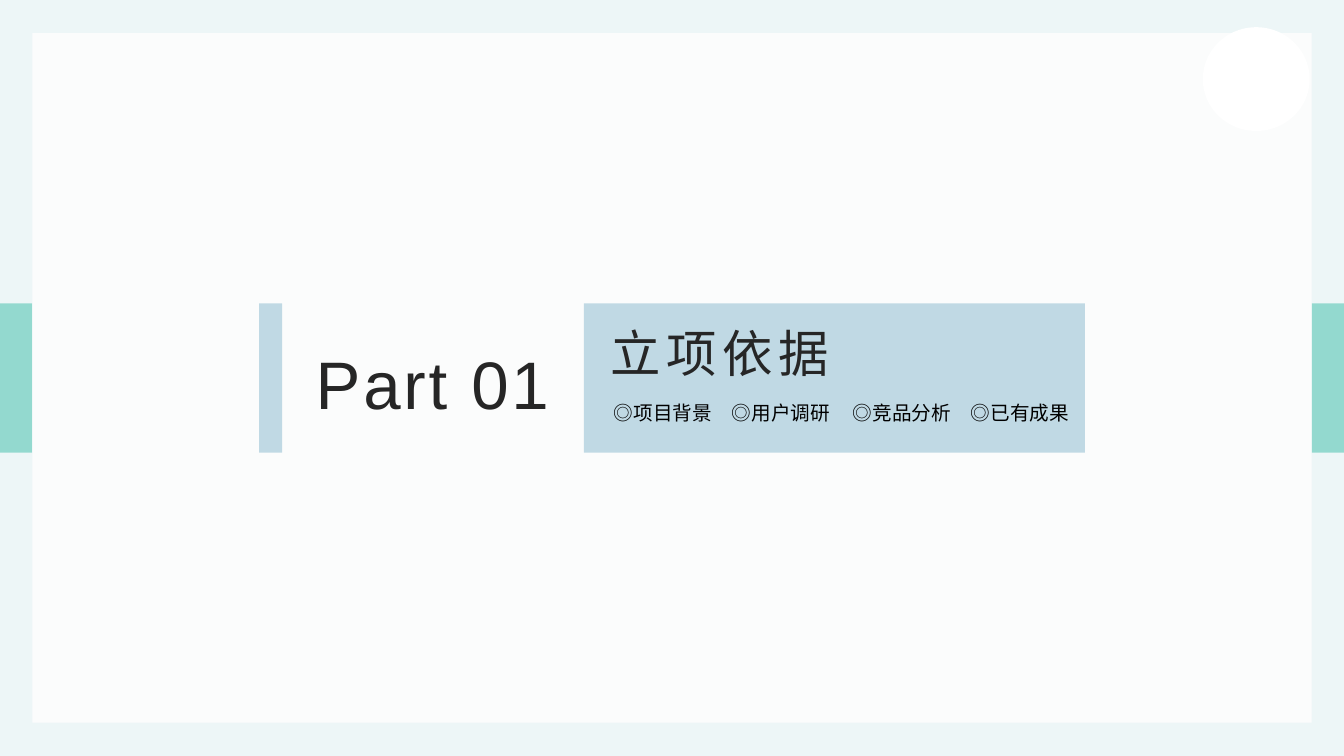
import pptx
import pptx.util
import pptx.dml.color
import pptx.enum.shapes
import pptx.enum.text
import pptx.oxml.ns
from lxml import etree

Inch = pptx.util.Inches
Kind = pptx.enum.shapes.MSO_SHAPE
Align = pptx.enum.text.PP_ALIGN
Anchor = pptx.enum.text.MSO_ANCHOR
qn = pptx.oxml.ns.qn

HUES = {"back": "EDF6F7", "panel": "FBFCFC", "teal": "7DD2C6",
        "blue": "3989AD", "white": "FFFFFF", "dark": "262626", "black": "000000"}
HAN = "Noto Sans CJK SC"
WIDE, HIGH = 13.33, 7.5
EDGE = 0.32             # side margin around the panel
TOP, BAND = 3.01, 1.48  # the band shared by all the bars


def paint(fill, hue, share=100):
    fill.solid()
    fill.fore_color.rgb = pptx.dml.color.RGBColor.from_string(HUES[hue])
    if share < 100:
        color = fill._xPr.find(qn("a:solidFill"))[0]
        etree.SubElement(color, qn("a:alpha"), val=str(share * 1000))


def write(box, text, size, font="Arial", hue="dark", gap=0, wrap=True,
          align=Align.LEFT, anchor=Anchor.TOP, inset=(0.05, 0.05)):
    frame = box.text_frame
    frame.auto_size = pptx.enum.text.MSO_AUTO_SIZE.NONE
    frame.word_wrap = wrap
    frame.vertical_anchor = anchor
    frame.margin_left = frame.margin_right = Inch(0.1)
    frame.margin_top, frame.margin_bottom = map(Inch, inset)
    para = frame.paragraphs[0]
    para.alignment = align
    run = para.add_run()
    run.text = text
    run.font.name = font
    run.font.size = pptx.util.Pt(size)
    run.font.color.rgb = pptx.dml.color.RGBColor.from_string(HUES[hue])
    props = run.font._element
    props.set("spc", str(gap * 100))
    etree.SubElement(props, qn("a:ea"), typeface=HAN)


deck = pptx.Presentation()
deck.slide_width, deck.slide_height = Inch(WIDE), Inch(HIGH)
slide = deck.slides.add_slide(deck.slide_layouts[5])
paint(slide.background.fill, "back")

# Side tabs, panel, bars and corner disc
for kind, left, top, wide, high, hue, share in [
    (Kind.RECTANGLE, 0, TOP, EDGE, BAND, "teal", 80),
    (Kind.RECTANGLE, WIDE - EDGE, TOP, EDGE, BAND, "teal", 80),
    (Kind.RECTANGLE, EDGE, 0.33, WIDE - 2 * EDGE, HIGH - 0.66, "panel", 100),
    (Kind.RECTANGLE, 5.79, TOP, 4.97, BAND, "blue", 30),
    (Kind.RECTANGLE, 2.57, TOP, 0.23, BAND, "blue", 30),
    (Kind.OVAL, 11.93, 0.27, 1.06, 1.03, "white", 100),
]:
    shape = slide.shapes.add_shape(kind, Inch(left), Inch(top), Inch(wide), Inch(high))
    shape.shadow.inherit = False
    shape.line.fill.background()
    paint(shape.fill, hue, share)

# Part number
part = slide.shapes.add_textbox(Inch(2.89), Inch(TOP), Inch(2.8), Inch(BAND))
write(part, "Part 01", 48, gap=2, align=Align.CENTER, anchor=Anchor.MIDDLE,
      inset=(0.1, 0))

# Title, moved in front of the bars
title = slide.shapes.title
title.left, title.top, title.width, title.height = map(Inch, (5.96, TOP, 4.64, 0.79))
write(title, "立项依据", 36, gap=4, anchor=Anchor.BOTTOM, inset=(0, 0))
slide.shapes._spTree.append(title._element)

# Topics
for left, topic in zip((5.99, 7.16, 8.36, 9.53),
                       ("项目背景", "用户调研", "竞品分析", "已有成果")):
    box = slide.shapes.add_textbox(Inch(left), Inch(3.93), Inch(1.17), Inch(0.34))
    write(box, "◎" + topic, 14, font=HAN, hue="black", wrap=False)

deck.save("out.pptx")
